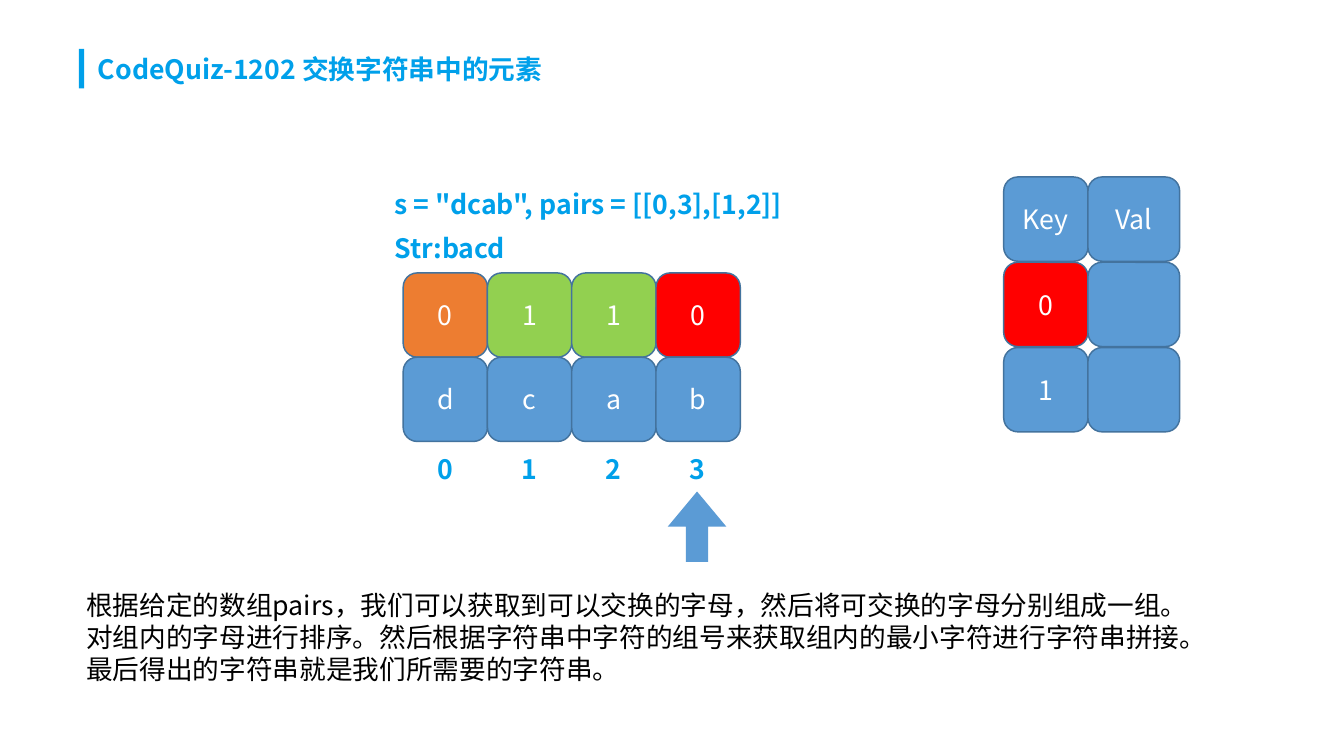
from pptx import Presentation, util as u
from pptx.dml.color import RGBColor
from pptx.enum import shapes, text
from pptx.oxml.ns import qn

SKY = RGBColor(0x00, 0xA0, 0xEA)
BLUE = RGBColor(0x5B, 0x9B, 0xD5)
EDGE = RGBColor(0x43, 0x73, 0x9E)
ORANGE = RGBColor(0xED, 0x7D, 0x31)
GREEN = RGBColor(0x92, 0xD0, 0x50)
RED = RGBColor(0xFF, 0x00, 0x00)
WHITE = RGBColor(0xFF, 0xFF, 0xFF)
BLACK = RGBColor(0x00, 0x00, 0x00)

LABEL_FONT = "Noto Sans CJK JP"
BODY_FONT = "Noto Sans CJK SC"
CELL = 0.79
VALUE_WIDTH = 0.86
LINE = 0.4
LETTERS_LEFT, LETTERS_TOP = 3.78, 2.56
MAP_LEFT, MAP_TOP = 9.41, 1.66

EXPLANATION = """根据给定的数组pairs，我们可以获取到可以交换的字母，然后将可交换的字母分别组成一组。
对组内的字母进行排序。然后根据字符串中字符的组号来获取组内的最小字符进行字符串拼接。
最后得出的字符串就是我们所需要的字符串。"""


class Page:
    """Style and current slide; all lengths are in inches."""

    def __init__(self, deck, size=18):
        self.slide = deck.slides.add_slide(deck.slide_layouts[6])
        self.size = u.Pt(size)

    def style(self, frame, color, font=LABEL_FONT, bold=False):
        for para in frame.paragraphs:
            for span in para.runs:
                span.font.size = self.size
                span.font.name = font
                span.font.bold = bold
                span.font.color.rgb = color
                east_asian = span.font._element.makeelement(qn("a:ea"), {"typeface": font})
                span.font._element.find(qn("a:latin")).addnext(east_asian)

    def shape(self, kind, left, top, width, height, fill):
        shape = self.slide.shapes.add_shape(kind, *map(u.Inches, (left, top, width, height)))
        shape.shadow.inherit = False
        shape.fill.solid()
        shape.fill.fore_color.rgb = fill
        shape.line.fill.background()
        return shape

    def cell(self, left, top, width, label, fill):
        cell = self.shape(shapes.MSO_SHAPE.ROUNDED_RECTANGLE, left, top, width, CELL, fill)
        cell.line.color.rgb = EDGE
        cell.line.width = u.Pt(1)
        if label:
            frame = cell.text_frame
            frame.text = label
            frame.vertical_anchor = text.MSO_ANCHOR.MIDDLE
            frame.paragraphs[0].alignment = text.PP_ALIGN.CENTER
            self.style(frame, WHITE)

    def label(self, left, top, width, words, height=LINE, color=SKY,
              font=LABEL_FONT, bold=True, wrap=True):
        box = self.slide.shapes.add_textbox(*map(u.Inches, (left, top, width, height)))
        frame = box.text_frame
        frame.word_wrap = wrap
        frame.auto_size = text.MSO_AUTO_SIZE.SHAPE_TO_FIT_TEXT
        frame.text = words
        self.style(frame, color, font, bold)

    def up_arrow(self, left, top, width, height):
        arrow = self.shape(shapes.MSO_SHAPE.UP_ARROW, left, top, width, height, BLUE)
        arrow.adjustments[0] = 0.38
        arrow.adjustments[1] = 0.6


def main():
    deck = Presentation()
    deck.slide_width, deck.slide_height = u.Inches(12.6), u.Inches(7.09)
    page = Page(deck)

    page.shape(shapes.MSO_SHAPE.RECTANGLE, 0.74, 0.46, 0.05, 0.37, SKY)
    page.label(0.82, 0.45, 6.29, "CodeQuiz-1202 交换字符串中的元素")
    page.label(3.6, 1.71, 6.3, 's = "dcab", pairs = [[0,3],[1,2]]')
    page.label(3.6, 2.13, 3.64, "Str:bacd")

    groups = [("0", ORANGE), ("1", GREEN), ("1", GREEN), ("0", RED)]
    for column, ((group, color), letter) in enumerate(zip(groups, "dcab")):
        left = LETTERS_LEFT + column * CELL
        page.cell(left, LETTERS_TOP, CELL, group, color)
        page.cell(left, LETTERS_TOP + CELL, CELL, letter, BLUE)
        page.label(left + 0.22, 4.2, 0.35, str(column))
    page.up_arrow(6.26, 4.61, 0.55, 0.66)

    entries = [("Key", "Val", BLUE), ("0", "", RED), ("1", "", BLUE)]
    for row, (key, value, color) in enumerate(entries):
        top = MAP_TOP + row * (CELL + 0.01)
        page.cell(MAP_LEFT, top, CELL, key, color)
        page.cell(MAP_LEFT + CELL, top, VALUE_WIDTH, value, BLUE)

    page.label(0.71, 5.47, 10.66, EXPLANATION, height=1.01, color=BLACK,
               font=BODY_FONT, bold=False, wrap=False)
    deck.save("out.pptx")


if __name__ == "__main__":
    main()
